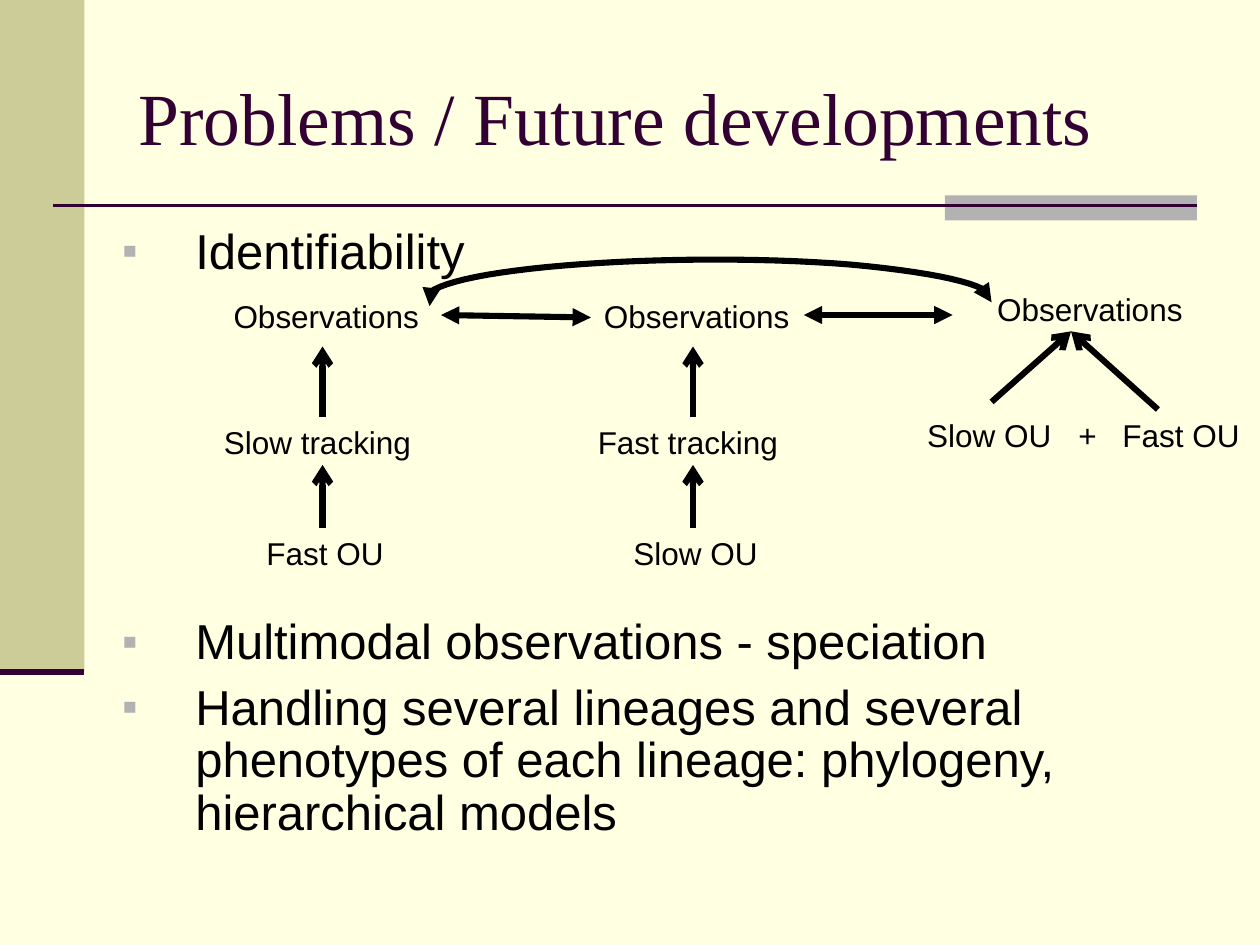
"""Build the slide on identifiability problems and future developments."""
from lxml import etree
from pptx import Presentation
from pptx import util as u
from pptx.dml.color import RGBColor
from pptx.enum import shapes, text
from pptx.oxml import ns

COLOURS = {"paper": "FFFFE1", "olive": "CCCC99", "grey": "B2B2B2",
           "plum": "330033", "ink": "000000"}
WIDTH, HEIGHT = 10, 7.5
TITLE = "Problems / Future developments"
BULLETS = [
    ("Identifiability", 0),
    ("Multimodal observations - speciation", 193),
    ("Handling several lineages and several phenotypes of each lineage: "
     "phylogeny, hierarchical models", 7),
]
COLUMNS = (2.56, 5.5)
CHAINS = [("Observations", "Slow tracking", "Fast OU"),
          ("Observations", "Fast tracking", "Slow OU")]
ROWS = [(2.31, 0.03), (3.31, -0.04), (4.19, 0.02)]
RISES = [(3.31, 2.75), (4.19, 3.69)]
MERGED_TABS = (1.2, 1.55)
MERGES = [((7.87, 3.19), (8.5, 2.63)), ((9.19, 3.25), (8.5, 2.63))]
EQUIVALENCES = [((3.5, 2.5), (4.69, 2.52)), ((6.38, 2.5), (7.56, 2.5))]
ARC = [[(3.41, 2.43), (3.26, 2.31), (3.62, 2.19), (4.34, 2.12)],
       [(4.34, 2.12), (5.06, 2.05), (6, 2.04), (6.75, 2.1)],
       [(6.75, 2.1), (7.51, 2.17), (7.94, 2.28), (7.87, 2.4)]]
ARC_STEPS = 16


def colour(name):
    return RGBColor.from_string(COLOURS[name])


def add_child(parent, tag, **attributes):
    return etree.SubElement(parent, ns.qn(tag), attributes)


def set_attributes(target, values):
    for name, value in values.items():
        setattr(target, name, value)


def style_font(para, size, face="Arial", tint="ink"):
    set_attributes(para.font, {"size": u.Pt(size), "name": face})
    para.font.color.rgb = colour(tint)


def style_line(shape, tint, width, **ends):
    shape.line.color.rgb = colour(tint)
    shape.line.width = u.Pt(width)
    line = shape.line._ln
    for end, kind in ends.items():
        add_child(line, f"a:{end}End", type=kind)


def add_line(page, start, end, tint="ink", width=3.5, **ends):
    line = page.shapes.add_connector(
        shapes.MSO_CONNECTOR.STRAIGHT, *map(u.Inches, start + end))
    style_line(line, tint, width, **ends)
    add_child(line._element.spPr, "a:effectLst")


def add_block(page, tint, *place):
    block = page.shapes.add_shape(
        shapes.MSO_SHAPE.RECTANGLE, *map(u.Inches, place))
    block.shadow.inherit = False
    block.fill.solid()
    block.fill.fore_color.rgb = colour(tint)
    block.line.fill.background()


def add_label(page, words, left, top, width, align, tabs=()):
    box = page.shapes.add_textbox(*map(u.Inches, (left, top, width, 0.4)))
    box.text_frame.word_wrap = True
    para = box.text_frame.paragraphs[0]
    para.alignment = align
    if tabs:
        stops = add_child(para._p.get_or_add_pPr(), "a:tabLst")
        for stop in tabs:
            add_child(stops, "a:tab", pos=str(u.Inches(stop)), algn="l")
    para.add_run().text = words
    style_font(para, 18)


def place(shape, left, top, width, height):
    set_attributes(shape, {"left": u.Inches(left), "top": u.Inches(top),
                           "width": u.Inches(width), "height": u.Inches(height)})


def add_title(page):
    title = page.shapes.title
    place(title, 1, 0.3, 8.5, 1.25)
    title.text_frame.text = TITLE
    set_attributes(title.text_frame, {"vertical_anchor": text.MSO_ANCHOR.MIDDLE,
                                      "auto_size": text.MSO_AUTO_SIZE.NONE})
    para = title.text_frame.paragraphs[0]
    para.alignment = text.PP_ALIGN.LEFT
    style_font(para, 42, "Times New Roman", "plum")


def add_bullets(page):
    body = page.placeholders[1]
    place(body, 0.87, 1.75, 9.12, 5.75)
    frame = body.text_frame
    frame.text = "\n".join(words for words, gap in BULLETS)
    frame.auto_size = text.MSO_AUTO_SIZE.NONE
    for para, (words, gap) in zip(frame.paragraphs, BULLETS):
        properties = para._p.get_or_add_pPr()
        properties.set("marL", str(u.Inches(0.58)))
        properties.set("indent", str(u.Inches(-0.58)))
        tint = add_child(properties, "a:buClr")
        add_child(tint, "a:srgbClr", val=COLOURS["grey"])
        add_child(properties, "a:buSzPct", val="90000")
        add_child(properties, "a:buFont", typeface="Arial")
        add_child(properties, "a:buChar", char="▪")
        set_attributes(para, {"line_spacing": 0.9, "space_before": u.Pt(gap)})
        style_font(para, 28)


def curve_point(knots, t):
    weights = ((1 - t) ** 3, 3 * t * (1 - t) ** 2, 3 * t ** 2 * (1 - t), t ** 3)
    return tuple(u.Inches(sum(w * knot[axis] for w, knot in zip(weights, knots)))
                 for axis in (0, 1))


def add_arc(page):
    points = [curve_point(knots, step / ARC_STEPS)
              for knots in ARC for step in range(1, ARC_STEPS + 1)]
    builder = page.shapes.build_freeform(*curve_point(ARC[0], 0))
    builder.add_line_segments(points, close=False)
    arc = builder.convert_to_shape()
    arc.shadow.inherit = False
    arc.fill.background()
    style_line(arc, "ink", 3.5, head="triangle", tail="triangle")


def add_diagram(page):
    centre = text.PP_ALIGN.CENTER
    for x, chain in zip(COLUMNS, CHAINS):
        for words, (top, shift) in zip(chain, ROWS):
            add_label(page, words, x + shift - 0.9, top, 1.8, centre)
        for bottom, top in RISES:
            add_line(page, (x, bottom), (x, top), tail="arrow")
    add_label(page, "Observations", 7.75, 2.25, 1.8, centre)
    add_label(page, "Slow OU\t+\tFast OU", 7.26, 3.25, WIDTH - 7.26,
              text.PP_ALIGN.LEFT, MERGED_TABS)
    for start, end in MERGES:
        add_line(page, start, end, tail="arrow")
    for start, end in EQUIVALENCES:
        add_line(page, start, end, head="triangle", tail="triangle")
    add_arc(page)


def main():
    deck = Presentation()
    set_attributes(deck, {"slide_width": u.Inches(WIDTH),
                          "slide_height": u.Inches(HEIGHT)})
    page = deck.slides.add_slide(deck.slide_layouts[1])
    page.background.fill.solid()
    page.background.fill.fore_color.rgb = colour("paper")
    add_block(page, "olive", 0, 0, 0.67, 5.33)
    add_block(page, "grey", 7.5, 1.55, 2, 0.2)
    add_line(page, (0.42, 1.63), (9.5, 1.63), "plum", 1.5)
    add_line(page, (0, 5.33), (0.67, 5.33), "plum", 3.5)
    add_title(page)
    add_bullets(page)
    add_diagram(page)
    deck.save("out.pptx")


if __name__ == "__main__":
    main()
